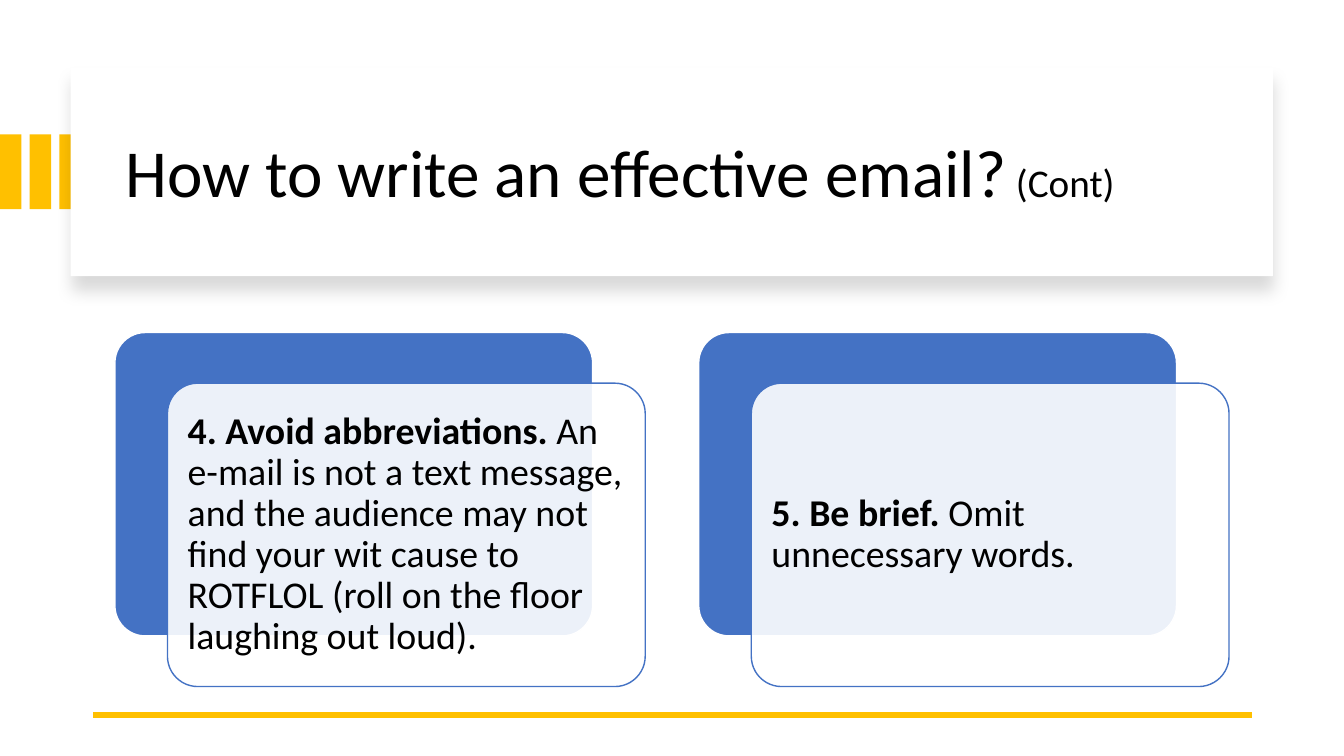
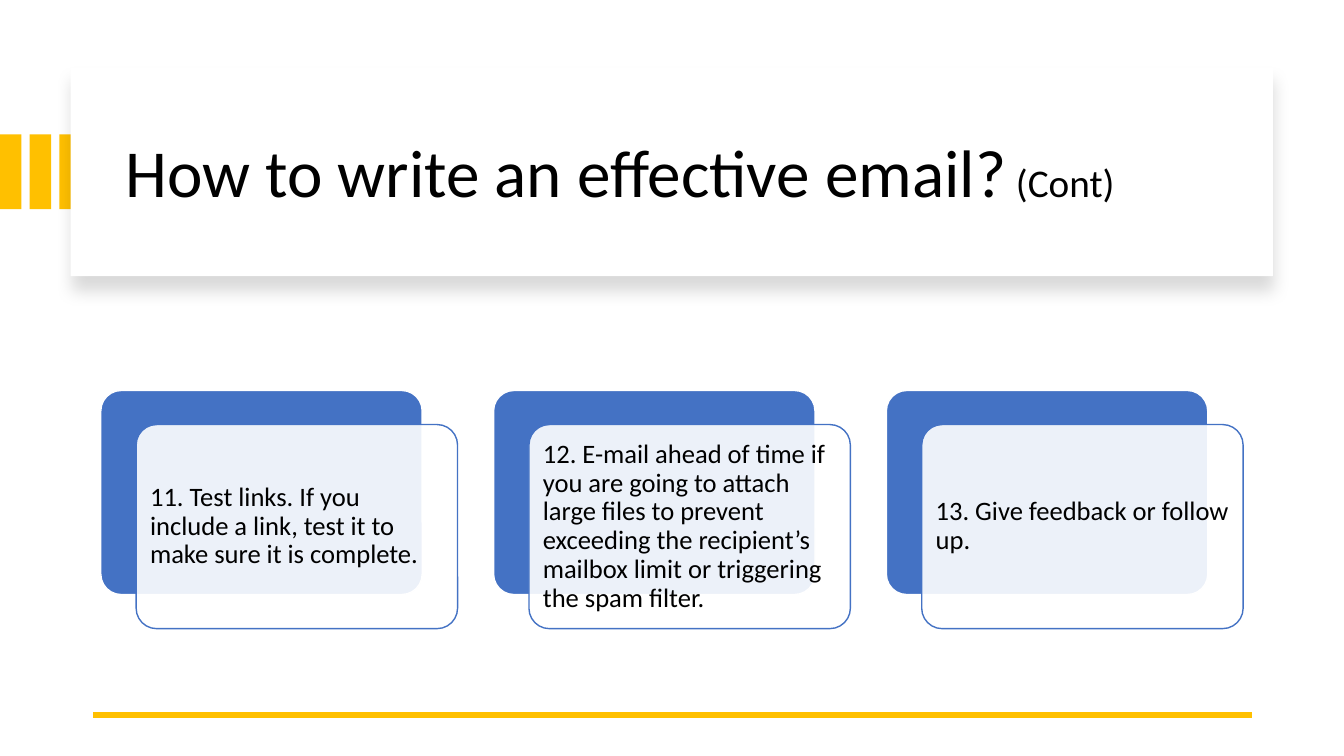
from lxml.etree import SubElement
from pptx import Presentation
from pptx.dml.color import RGBColor
from pptx.enum.shapes import MSO_CONNECTOR, MSO_SHAPE
from pptx.enum.text import MSO_ANCHOR, MSO_AUTO_SIZE, PP_ALIGN
from pptx.oxml.ns import qn
from pptx.util import Cm, Pt

GOLD = RGBColor(0xFF, 0xC0, 0x00)
BLUE = RGBColor(0x44, 0x72, 0xC4)
WHITE = RGBColor(0xFF, 0xFF, 0xFF)
BLACK = RGBColor(0, 0, 0)
FONT = "Calibri"
WIDE, HIGH = 33.87, 19.05

TITLE = [("How to write an effective email?", 48, False), (" (Cont)", 28, False)]

# Each slide: card width in cm, text size, cards as (bold lead, text)
SLIDES = [
    (12.04, 27, [
        ("4. Avoid abbreviations. ",
         "An e-mail is not a text message, and the audience may not find your wit "
         "cause to ROTFLOL (roll on the floor laughing out loud)."),
        ("5. Be brief.", " Omit unnecessary words."),
    ]),
    (8.1, 19, [
        ("", "11. Test links. If you include a link, test it to make sure it is complete."),
        ("", "12. E-mail ahead of time if you are going to attach large files to prevent "
             "exceeding the recipient’s mailbox limit or triggering the spam filter."),
        ("", "13. Give feedback or follow up."),
    ]),
]

# Card proportions, as shares of the card width
RATIO, PITCH, SHIFT_X, SHIFT_Y = 0.635, 1.222, 0.11, 0.106
MIDDLE = 12.84


def write(shape, runs, inset=None):
    """Fill a shape with one paragraph of (text, size, bold) runs."""
    frame = shape.text_frame
    frame.word_wrap = True
    frame.auto_size = MSO_AUTO_SIZE.NONE
    frame.vertical_anchor = MSO_ANCHOR.MIDDLE
    if inset is not None:
        frame.margin_left = frame.margin_right = inset
        frame.margin_top = frame.margin_bottom = inset
    para = frame.paragraphs[0]
    para.alignment = PP_ALIGN.LEFT
    para.line_spacing = 0.9
    for text, size, bold in runs:
        run = para.add_run()
        run.text = text
        run.font.name, run.font.size = FONT, Pt(size)
        run.font.bold, run.font.color.rgb = bold, BLACK


def block(slide, kind, x, y, w, h, fill, line=None):
    shape = slide.shapes.add_shape(kind, Cm(x), Cm(y), Cm(w), Cm(h))
    shape.fill.solid()
    shape.fill.fore_color.rgb = fill
    if line is None:
        shape.line.fill.background()
    else:
        shape.line.color.rgb, shape.line.width = line, Pt(1)
    shape.shadow.inherit = False
    if kind == MSO_SHAPE.ROUNDED_RECTANGLE:
        shape.adjustments[0] = 0.1
    return shape


def fade(color, share):
    SubElement(color, qn("a:alpha"), val=str(share * 1000))


def cast(shape):
    """Give a shape a soft shadow below it."""
    effects = shape.element.spPr.find(qn("a:effectLst"))
    shadow = SubElement(effects, qn("a:outerShdw"), blurRad=str(Pt(11)),
                        dist=str(Pt(10)), dir="5400000", algn="t", rotWithShape="0")
    fade(SubElement(shadow, qn("a:srgbClr"), val=str(BLACK)), 15)


def frame_slide(deck):
    """Add a slide with the shared bars, title panel and bottom rule."""
    slide = deck.slides.add_slide(deck.slide_layouts[5])
    for i in range(3):
        block(slide, MSO_SHAPE.RECTANGLE, i * 0.75, 3.39, 0.54, 1.88, GOLD)
    cast(block(slide, MSO_SHAPE.RECTANGLE, 1.78, 1.7, 30.3, 5.26, WHITE))
    title = slide.shapes.title
    title.left, title.top, title.width, title.height = Cm(2.9), Cm(2.26), Cm(28.27), Cm(4.32)
    write(title, TITLE)
    title.element.getparent().append(title.element)
    rule = slide.shapes.add_connector(
        MSO_CONNECTOR.STRAIGHT, Cm(31.55), Cm(18.01), Cm(2.34), Cm(18.01))
    rule.line.color.rgb, rule.line.width = GOLD, Pt(4.5)
    SubElement(rule.element.spPr, qn("a:effectLst"))
    return slide


def add_cards(slide, w, size, cards):
    h = w * RATIO
    left = (WIDE - w * (PITCH * (len(cards) - 1) + 1 + SHIFT_X)) / 2
    top = MIDDLE - (h + w * SHIFT_Y) / 2
    for i, (lead, text) in enumerate(cards):
        x = left + i * w * PITCH
        block(slide, MSO_SHAPE.ROUNDED_RECTANGLE, x, top, w, h, BLUE, WHITE)
        card = block(slide, MSO_SHAPE.ROUNDED_RECTANGLE,
                     x + w * SHIFT_X, top + w * SHIFT_Y, w, h, WHITE, BLUE)
        fade(card.element.spPr.find(qn("a:solidFill"))[0], 90)
        runs = [(lead, size, True)] if lead else []
        write(card, runs + [(text, size, False)], inset=Pt(size * 0.3))


def main():
    deck = Presentation()
    deck.slide_width, deck.slide_height = Cm(WIDE), Cm(HIGH)
    for w, size, cards in SLIDES:
        add_cards(frame_slide(deck), w, size, cards)
    deck.save("out.pptx")


if __name__ == "__main__":
    main()
